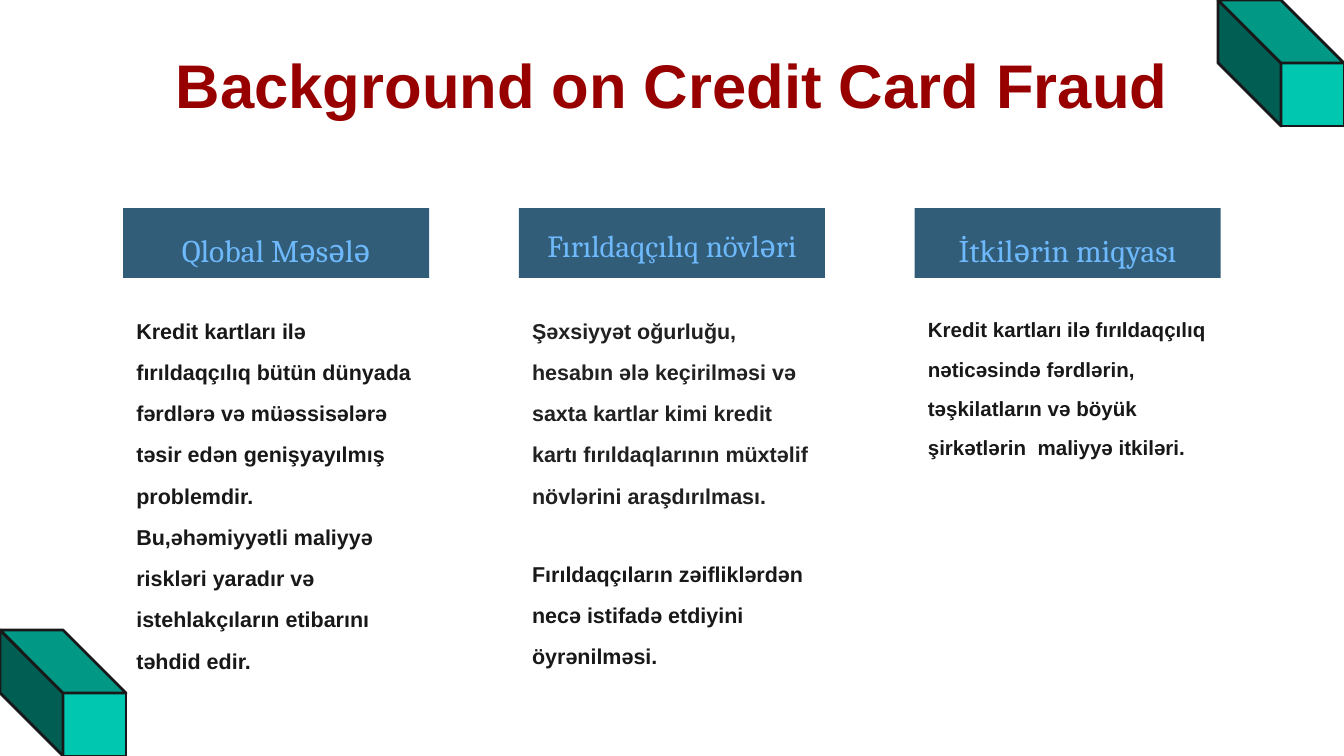
from dataclasses import dataclass

from pptx import Presentation
from pptx.dml.color import RGBColor as RGB
from pptx.enum import shapes, text
from pptx.util import Pt


@dataclass(frozen=True)
class Theme:
    """Hold the colours, fonts and type sizes."""
    red: str = "980000"
    navy: str = "325D79"
    sky: str = "6EB9FC"
    ink: str = "191818"
    grey: str = "212121"
    front: str = "00C7AF"
    side: str = "005E53"
    roof: str = "029886"
    sans: str = "Arial"
    serif: str = "Cambria"
    title: float = 33
    head: float = 16.9
    tight: float = 16.5
    body: float = 11.5
    small: float = 11


@dataclass(frozen=True)
class Style:
    """Describe how a block of text looks."""
    font: str
    size: float
    color: str
    bold: bool = False
    lead: float = 1.0
    align: text.PP_ALIGN = text.PP_ALIGN.LEFT


@dataclass(frozen=True)
class Head:
    """Describe the label on top of a column."""
    col: int
    words: str
    size: float
    lead: float


@dataclass(frozen=True)
class Note:
    """Describe a block of body text in a column."""
    col: int
    top: float
    high: float
    words: str
    size: float
    color: str


T = Theme()
LEFT, STEP, WIDE = 66, 212, 164
UNIT = 33.75
MID = text.PP_ALIGN.CENTER

HEADS = [
    Head(0, "Qlobal Məsələ", T.head, 1.25),
    Head(1, "Fırıldaqçılıq növləri", T.tight, 1.15),
    Head(2, "İtkilərin miqyası", T.head, 1.25),
]
NOTES = [
    Note(0, 154.8, 206.6,
         "Kredit kartları ilə fırıldaqçılıq bütün dünyada fərdlərə və "
         "müəssisələrə təsir edən genişyayılmış problemdir.\n"
         "Bu,əhəmiyyətli maliyyə riskləri yaradır və istehlakçıların "
         "etibarını təhdid edir.", T.body, T.ink),
    Note(1, 154.8, 139.7,
         "Şəxsiyyət oğurluğu, hesabın ələ keçirilməsi və saxta kartlar kimi "
         "kredit kartı fırıldaqlarının müxtəlif növlərini araşdırılması.",
         T.body, T.grey),
    Note(2, 154.8, 113,
         "Kredit kartları ilə fırıldaqçılıq nəticəsində fərdlərin, "
         "təşkilatların və böyük şirkətlərin  maliyyə itkiləri.",
         T.small, T.ink),
    Note(1, 285.1, 72.7,
         "Fırıldaqçıların zəifliklərdən necə istifadə etdiyini öyrənilməsi.",
         T.body, T.ink),
]
FACES = [
    (T.front, [(1, 1), (2, 1), (2, 2), (1, 2)]),
    (T.side, [(0, 0), (1, 1), (1, 2), (0, 1)]),
    (T.roof, [(0, 0), (1, 0), (2, 1), (1, 1)]),
]


def write(shape, words: str, style: Style) -> None:
    """Fill a shape with styled text, anchored at its top."""
    frame = shape.text_frame
    frame.text = words
    frame.word_wrap = True
    frame.auto_size = text.MSO_AUTO_SIZE.NONE
    frame.vertical_anchor = text.MSO_ANCHOR.TOP
    frame.margin_left = frame.margin_right = Pt(7.2)
    frame.margin_top = frame.margin_bottom = Pt(7.2)
    for para in frame.paragraphs:
        para.alignment = style.align
        para.line_spacing = style.lead
        para.space_before = Pt(0)
        for run in para.runs:
            run.font.name = style.font
            run.font.size = Pt(style.size)
            run.font.bold = style.bold
            run.font.color.rgb = RGB.from_string(style.color)


def cube(slide, left: float, top: float) -> None:
    """Draw a slanted block from its three visible faces."""
    for color, spots in FACES:
        dots = [(Pt(left + x * UNIT), Pt(top + y * UNIT)) for x, y in spots]
        pen = slide.shapes.build_freeform(*dots[0])
        pen.add_line_segments(dots[1:], close=True)
        face = pen.convert_to_shape()
        face.shadow.inherit = False
        face.fill.solid()
        face.fill.fore_color.rgb = RGB.from_string(color)
        face.line.color.rgb = RGB.from_string(T.ink)
        face.line.width = Pt(1.5)


def title(slide, words: str) -> None:
    """Place and style the slide title."""
    name = slide.shapes.title
    name.left, name.top = Pt(82), Pt(18)
    name.width, name.height = Pt(556), Pt(68)
    write(name, words, Style(T.sans, T.title, T.red, True, align=MID))


def label(slide, head: Head) -> None:
    """Draw a filled column label."""
    bar = slide.shapes.add_shape(
        shapes.MSO_SHAPE.RECTANGLE, Pt(LEFT + head.col * STEP), Pt(111.5),
        Pt(WIDE), Pt(37.4))
    bar.shadow.inherit = False
    bar.fill.solid()
    bar.fill.fore_color.rgb = RGB.from_string(T.navy)
    bar.line.fill.background()
    write(bar, head.words,
          Style(T.serif, head.size, T.sky, lead=head.lead, align=MID))


def block(slide, note: Note) -> None:
    """Draw a block of body text."""
    box = slide.shapes.add_textbox(
        Pt(LEFT + note.col * STEP), Pt(note.top), Pt(WIDE), Pt(note.high))
    write(box, note.words, Style(T.sans, note.size, note.color, True, 1.6))


def main() -> None:
    """Build and save the slide."""
    deck = Presentation()
    deck.slide_width, deck.slide_height = Pt(720), Pt(405)
    slide = deck.slides.add_slide(deck.slide_layouts[5])
    cube(slide, 720 - 2 * UNIT, 0)
    cube(slide, 0, 405 - 2 * UNIT)
    title(slide, "Background on Credit Card Fraud")
    for head in HEADS:
        label(slide, head)
    for note in NOTES:
        block(slide, note)
    deck.save("out.pptx")


if __name__ == "__main__":
    main()
